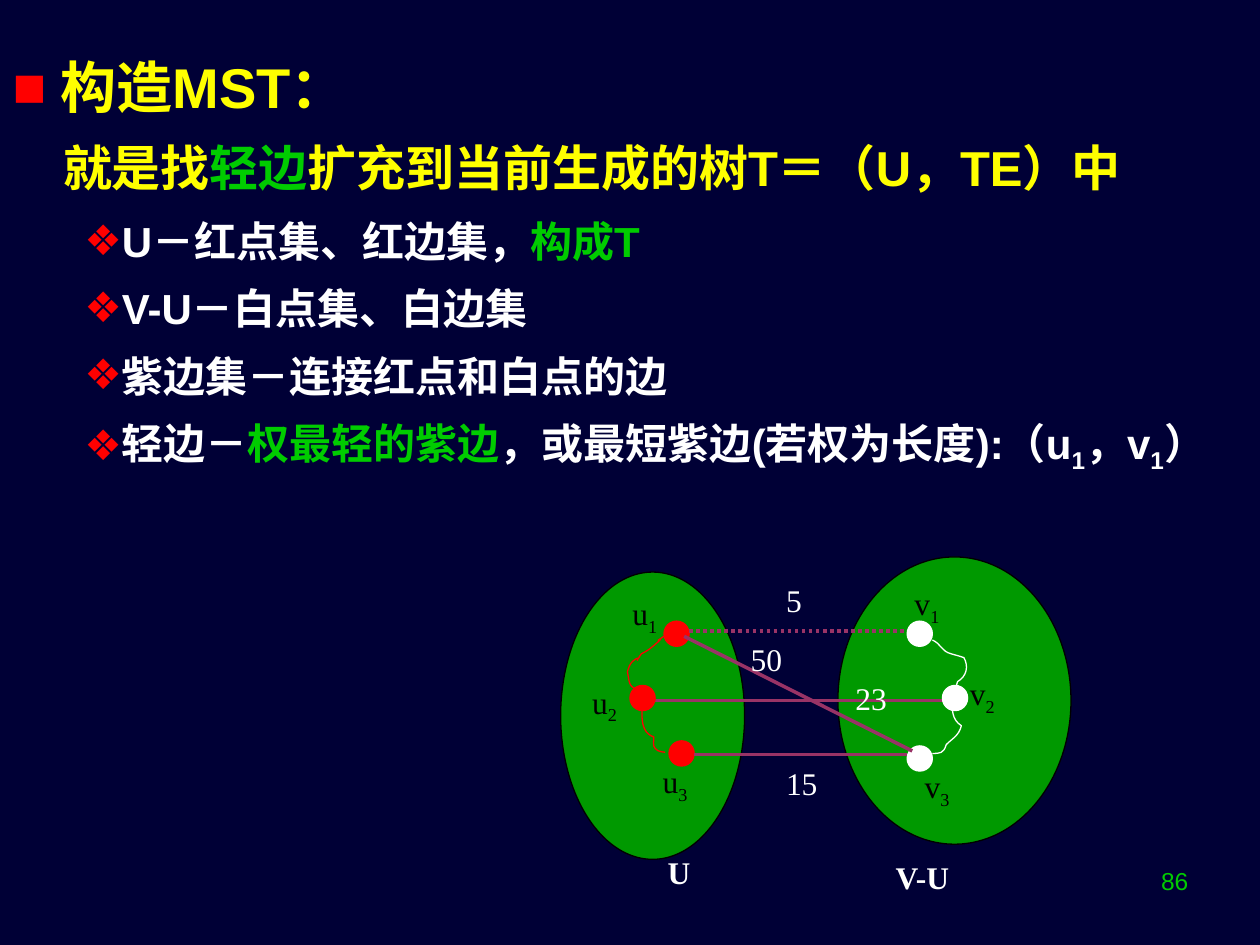
from typing import NamedTuple

from lxml import etree
from pptx import Presentation
from pptx.dml.color import RGBColor
from pptx.enum.dml import MSO_LINE
from pptx.enum.shapes import MSO_CONNECTOR, MSO_SHAPE
from pptx.enum.text import MSO_ANCHOR, MSO_AUTO_SIZE, PP_ALIGN
from pptx.oxml.ns import qn
from pptx.util import Pt

PX = 9144  # one px is a hundredth of an inch
OVAL = MSO_SHAPE.OVAL
STRAIGHT = MSO_CONNECTOR.STRAIGHT
DOTTED = MSO_LINE.ROUND_DOT
JUSTIFY, LEFT, RIGHT = PP_ALIGN.JUSTIFY, PP_ALIGN.LEFT, PP_ALIGN.RIGHT

NAVY, RED, WHITE, BLACK = "000036", "FF0000", "FFFFFF", "000000"
YELLOW, LIME, GREEN, PURPLE = "FFFF00", "00CC00", "009900", "993366"
SANS, SERIF = "Arial", "Times New Roman"
NODE = 20


class Run(NamedTuple):
    text: str
    color: str
    sub: bool = False


class Item(NamedTuple):
    runs: list[Run]
    size: int
    margin: int
    indent: int
    before: float = 0
    bullet: str = ""


class Oval(NamedTuple):
    x: int
    y: int
    w: int
    h: int
    fill: str
    line: str


class Edge(NamedTuple):
    x1: int
    y1: int
    x2: int
    y2: int
    dotted: bool = False


class Label(NamedTuple):
    x: int
    y: int
    w: int
    text: str
    color: str
    sub: str = ""
    bold: bool = False


def node(x: int, y: int, color: str) -> Oval:
    return Oval(x, y, NODE, NODE, color, color)


def point(*runs: Run, before: float = 9.6) -> Item:
    return Item(list(runs), 24, 81, -24, before, "❖")


ITEMS = [
    Item([Run("构造MST：", YELLOW)], 32, 38, -38, bullet="■"),
    Item([Run("就是找", YELLOW), Run("轻边", LIME),
          Run("扩充到当前生成的树T＝（U，TE）中", YELLOW)], 28, 40, 0, 10),
    point(Run("U－红点集、红边集，", WHITE), Run("构成T", LIME), before=11),
    point(Run("V-U－白点集、白边集", WHITE)),
    point(Run("紫边集－连接红点和白点的边", WHITE)),
    point(Run("轻边－", WHITE), Run("权最轻的紫边", LIME),
          Run("，或最短紫边(若权为长度):（u", WHITE), Run("1", WHITE, True),
          Run("，v", WHITE), Run("1", WHITE, True), Run("）", WHITE)),
]
SETS = [Oval(445, 454, 146, 228, GREEN, BLACK),
        Oval(665, 442, 185, 228, GREEN, BLACK)]
OUTER_NODES = [node(527, 493, RED), node(531, 588, RED),
               node(720, 493, WHITE), node(720, 592, WHITE)]
MIDDLE_NODES = [node(500, 544, RED), node(748, 544, WHITE)]
EDGES = [Edge(551, 599, 720, 599), Edge(547, 501, 720, 501, True),
         Edge(543, 505, 724, 596), Edge(508, 556, 752, 556)]
# Each path is a start point, then three Bezier points per segment.
V_PATH = [(740, 508), (747, 511), (747, 517), (755, 519), (762, 521), (759, 520),
          (765, 522), (769, 529), (767, 537), (760, 541), (759, 546), (756, 549),
          (755, 554), (756, 563), (755, 571), (763, 576), (761, 584), (756, 586),
          (751, 591), (749, 598), (746, 598), (740, 598)]
U_PATH = [(527, 505), (514, 514), (534, 500), (517, 514), (515, 516), (509, 519),
          (509, 519), (501, 531), (512, 517), (502, 525), (500, 527), (499, 530),
          (498, 533), (500, 544), (499, 546), (510, 548), (511, 561), (505, 580),
          (519, 585), (519, 588), (518, 592), (520, 594), (522, 597), (528, 597),
          (528, 597)]
LABELS = [
    Label(492, 470, 55, "u", BLACK, "1"), Label(460, 540, 55, "u", BLACK, "2"),
    Label(516, 603, 55, "u", BLACK, "3"), Label(716, 462, 43, "v", BLACK, "1"),
    Label(760, 533, 43, "v", BLACK, "2"), Label(724, 607, 43, "v", BLACK, "3"),
    Label(614, 462, 47, "5", WHITE), Label(586, 509, 47, "50", WHITE),
    Label(614, 607, 47, "15", WHITE), Label(669, 540, 47, "23", WHITE),
    Label(520, 678, 63, "U", WHITE, bold=True),
    Label(701, 682, 83, "V-U", WHITE, bold=True),
]


def rgb(value: str) -> RGBColor:
    return RGBColor.from_string(value)


def add_run(p, run: Run, size: int, font: str, bold: bool) -> None:
    r = p.add_run()
    r.text = run.text
    r.font.name, r.font.size, r.font.bold = font, Pt(size), bold
    r.font.color.rgb = rgb(run.color)
    if run.sub:
        r.font._element.set("baseline", "-25000")


def set_bullet(p, item: Item) -> None:
    pPr = p._p.get_or_add_pPr()
    pPr.set("marL", str(item.margin * PX))
    pPr.set("indent", str(item.indent * PX))
    if not item.bullet:
        etree.SubElement(pPr, qn("a:buNone"))
        return
    color = etree.SubElement(pPr, qn("a:buClr"))
    etree.SubElement(color, qn("a:srgbClr"), val=RED)
    etree.SubElement(pPr, qn("a:buFont"), typeface=SANS)
    etree.SubElement(pPr, qn("a:buChar"), char=item.bullet)


def fill_body(body) -> None:
    body.left, body.top, body.width, body.height = 0, 37 * PX, 1000 * PX, 681 * PX
    tf = body.text_frame
    tf.auto_size, tf.vertical_anchor = MSO_AUTO_SIZE.NONE, MSO_ANCHOR.TOP
    for i, item in enumerate(ITEMS):
        p = tf.add_paragraph() if i else tf.paragraphs[0]
        p.level = 1 if item.bullet == "❖" else 0
        p.alignment = JUSTIFY
        p.space_before = Pt(item.before)
        set_bullet(p, item)
        for run in item.runs:
            add_run(p, run, item.size, SANS, True)


def add_text(s, x: int, y: int, w: int, h: int, align: PP_ALIGN):
    """Add an empty wrapping text box and return its first paragraph."""
    tf = s.shapes.add_textbox(x * PX, y * PX, w * PX, h * PX).text_frame
    tf.word_wrap = True
    p = tf.paragraphs[0]
    p.alignment = align
    return p


def add_label(s, label: Label) -> None:
    p = add_text(s, label.x, label.y, label.w, 34, LEFT)
    p.line_spacing = 0.8
    add_run(p, Run(label.text, label.color), 18, SERIF, label.bold)
    if label.sub:
        add_run(p, Run(label.sub, label.color, True), 18, SERIF, label.bold)


def add_oval(s, oval: Oval) -> None:
    sp = s.shapes.add_shape(OVAL, oval.x * PX, oval.y * PX, oval.w * PX, oval.h * PX)
    sp.shadow.inherit = False
    sp.fill.solid()
    sp.fill.fore_color.rgb = rgb(oval.fill)
    sp.line.color.rgb, sp.line.width = rgb(oval.line), Pt(0.75)


def add_edge(s, edge: Edge) -> None:
    sp = s.shapes.add_connector(STRAIGHT, edge.x1 * PX, edge.y1 * PX,
                                edge.x2 * PX, edge.y2 * PX)
    sp.line.color.rgb, sp.line.width = rgb(PURPLE), Pt(2)
    if edge.dotted:
        sp.line.dash_style = DOTTED
    etree.SubElement(sp._element.spPr, qn("a:effectLst"))


def add_curve(s, path: list[tuple[int, int]], color: str) -> None:
    """Draw a chain of cubic Bezier segments, three points to a segment."""
    builder = s.shapes.build_freeform(*path[0], scale=PX)
    builder.add_line_segments(path[1:], close=False)
    sp = builder.convert_to_shape()
    outline = next(sp._element.iter(qn("a:path")))
    steps = outline.findall(qn("a:lnTo"))
    for i in range(0, len(steps), 3):
        curve = etree.SubElement(outline, qn("a:cubicBezTo"))
        for step in steps[i:i + 3]:
            curve.append(step[0])
            outline.remove(step)
    sp.shadow.inherit = False
    sp.fill.background()
    sp.line.color.rgb, sp.line.width = rgb(color), Pt(0.75)


def main() -> None:
    prs = Presentation()
    prs.slide_width, prs.slide_height = 1000 * PX, 750 * PX
    s = prs.slides.add_slide(prs.slide_layouts[1])
    s.background.fill.solid()
    s.background.fill.fore_color.rgb = rgb(NAVY)
    title = s.shapes.title._element
    title.getparent().remove(title)

    fill_body(s.placeholders[1])
    number = add_text(s, 720, 682, 233, 52, RIGHT)
    add_run(number, Run("86", LIME), 14, SANS, False)
    for oval in SETS + OUTER_NODES:
        add_oval(s, oval)
    add_curve(s, V_PATH, WHITE)
    add_curve(s, U_PATH, RED)
    for edge in EDGES:
        add_edge(s, edge)
    for oval in MIDDLE_NODES:
        add_oval(s, oval)
    for label in LABELS:
        add_label(s, label)
    prs.save("out.pptx")


if __name__ == "__main__":
    main()
